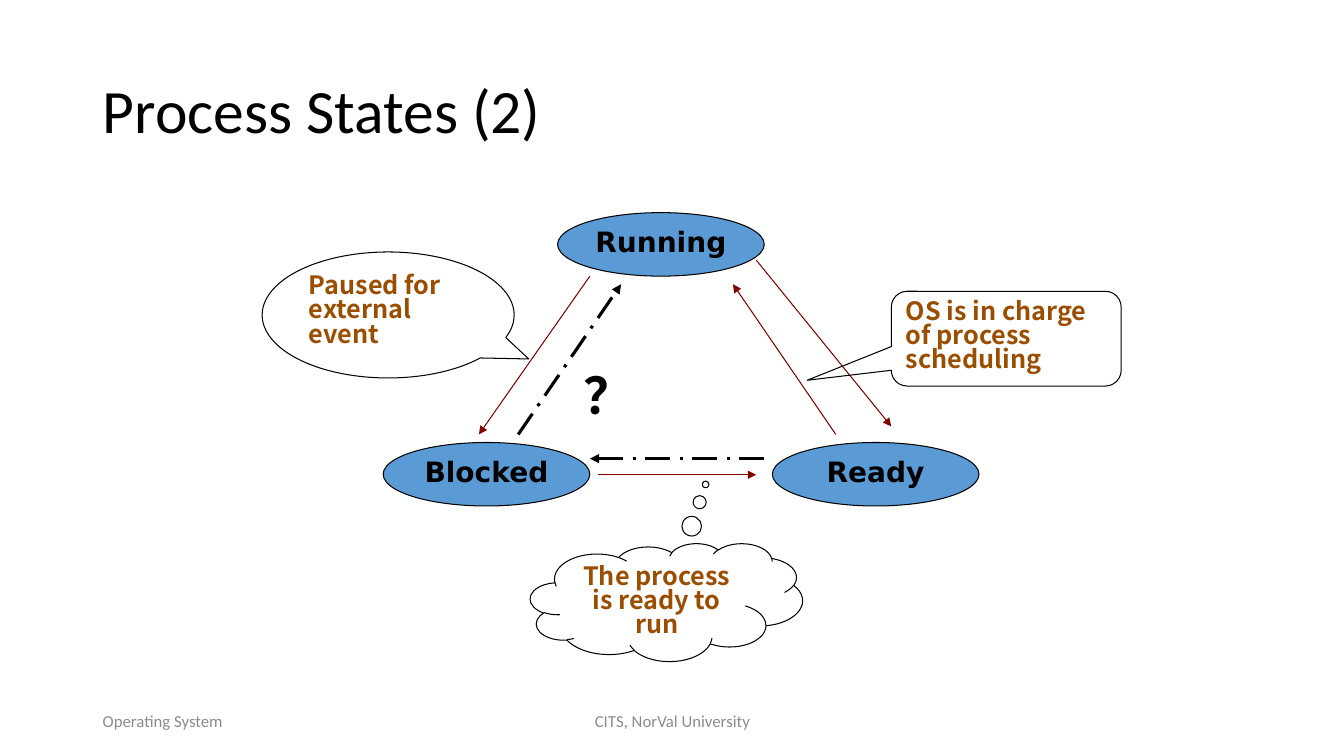
from dataclasses import dataclass

from lxml.etree import SubElement
from pptx import Presentation
from pptx.dml.color import RGBColor
from pptx.enum.dml import MSO_LINE_DASH_STYLE as Dash
from pptx.enum.shapes import MSO_CONNECTOR_TYPE as Link, MSO_SHAPE as Preset
from pptx.enum.text import MSO_ANCHOR as Anchor, MSO_AUTO_SIZE as Fit, PP_ALIGN as Align
from pptx.oxml.ns import qn
from pptx.util import Emu, Pt

PX = 9144  # EMU per px, 100 px to the inch

COLORS = {
    "black": "000000",
    "state": "5B9BD5",
    "arrow": "800000",
    "note": "9C4E00",
    "footer": "8C8C8C",
}


@dataclass(frozen=True)
class Style:
    font: str
    size: int
    color: str = "black"
    bold: bool = False
    tight: bool = False  # 80% lines with a fifth of the size before


@dataclass(frozen=True)
class State:
    name: str
    left: int
    top: int


@dataclass(frozen=True)
class Callout:
    preset: Preset
    box: tuple[int, int, int, int]
    adjustments: tuple[float, ...]
    text: str
    align: Align = Align.LEFT


@dataclass(frozen=True)
class Arrow:
    start: tuple[int, int]
    end: tuple[int, int]
    possible: bool = True


@dataclass(frozen=True)
class Label:
    box: tuple[int, int, int, int]
    text: str
    style: Style
    align: Align = Align.LEFT
    anchor: Anchor = Anchor.MIDDLE
    fit: Fit = Fit.NONE


TITLE = Style("Calibri", 44)
FOOTER = Style("Calibri", 12, "footer")
STATE = Style("DejaVu Sans", 20, bold=True, tight=True)
NOTE = Style("Noto Sans CJK SC", 18, "note", bold=True, tight=True)
QUESTION = Style("DejaVu Sans", 36, bold=True, tight=True)

STATE_WIDTH, STATE_HEIGHT = 205, 63
STATES = [
    State("Running", 553, 211),
    State("Blocked", 380, 439),
    State("Ready", 766, 439),
]
TRANSITIONS = [
    Arrow((585, 274), (475, 431)),
    Arrow((750, 258), (884, 423)),
    Arrow((593, 471), (750, 471)),
    Arrow((829, 431), (727, 282)),
    Arrow((514, 431), (616, 282), possible=False),
    Arrow((758, 455), (585, 455), possible=False),
]
CALLOUTS = [
    Callout(Preset.CLOUD_CALLOUT, (526, 539, 270, 117), (0.144, -0.999),
            "The process is ready to run", Align.CENTER),
    Callout(Preset.OVAL_CALLOUT, (260, 250, 250, 125), (0.558, 0.349),
            "Paused for external event"),
    Callout(Preset.ROUNDED_RECTANGULAR_CALLOUT, (884, 289, 228, 94),
            (-0.866, 0.439, 0.167), "OS is in charge of process scheduling"),
]
LABELS = [
    Label((92, 695, 300, 40), "Operating System", FOOTER),
    Label((442, 695, 450, 40), "CITS, NorVal University", FOOTER, Align.CENTER),
    Label((569, 368, 55, 59), "？", QUESTION, anchor=Anchor.TOP,
          fit=Fit.SHAPE_TO_FIT_TEXT),
]


def px(*lengths: int) -> list[Emu]:
    return [Emu(length * PX) for length in lengths]


def rgb(name: str) -> RGBColor:
    return RGBColor.from_string(COLORS[name])


def write(shape, text: str, style: Style, align: Align = Align.LEFT,
          anchor: Anchor = Anchor.TOP, wrap: bool = True) -> None:
    frame = shape.text_frame
    frame.word_wrap = wrap
    frame.vertical_anchor = anchor
    para = frame.paragraphs[0]
    para.alignment = align
    if style.tight:
        para.line_spacing = 0.8
        para.space_before = Pt(style.size * 0.2)
    span = para.add_run()
    span.text = text
    span.font.name = style.font
    span.font.size = Pt(style.size)
    span.font.bold = style.bold
    span.font.color.rgb = rgb(style.color)
    # East Asian glyphs take the same font
    SubElement(span.font._element, qn("a:ea"), typeface=style.font)


def outline(shape) -> None:
    shape.shadow.inherit = False
    shape.line.color.rgb = rgb("black")
    shape.line.width = Pt(0.75)


def add_state(page, state: State) -> None:
    oval = page.shapes.add_shape(
        Preset.OVAL, *px(state.left, state.top, STATE_WIDTH, STATE_HEIGHT))
    outline(oval)
    oval.fill.solid()
    oval.fill.fore_color.rgb = rgb("state")
    write(oval, state.name, STATE, Align.CENTER, Anchor.MIDDLE, wrap=False)


def add_arrow(page, arrow: Arrow) -> None:
    link = page.shapes.add_connector(Link.STRAIGHT, *px(*arrow.start, *arrow.end))
    link.line.color.rgb = rgb("arrow" if arrow.possible else "black")
    link.line.width = Pt(0.75 if arrow.possible else 2.25)
    if not arrow.possible:
        link.line.dash_style = Dash.LONG_DASH_DOT
    properties = link._element.spPr
    SubElement(properties.find(qn("a:ln")), qn("a:tailEnd"), type="triangle")
    SubElement(properties, qn("a:effectLst"))


def add_callout(page, callout: Callout) -> None:
    bubble = page.shapes.add_shape(callout.preset, *px(*callout.box))
    outline(bubble)
    bubble.fill.background()
    for index, value in enumerate(callout.adjustments):
        bubble.adjustments[index] = value
    write(bubble, callout.text, NOTE, callout.align)


def add_label(page, label: Label) -> None:
    box = page.shapes.add_textbox(*px(*label.box))
    write(box, label.text, label.style, label.align, label.anchor)
    box.text_frame.auto_size = label.fit


def main() -> None:
    deck = Presentation()
    deck.slide_width, deck.slide_height = px(1333, 750)
    page = deck.slides.add_slide(deck.slide_layouts.get_by_name("Title Only"))

    # Title
    title = page.shapes.title
    title.left, title.top, title.width, title.height = px(92, 40, 1150, 145)
    write(title, "Process States (2)", TITLE, anchor=Anchor.MIDDLE)
    title.text_frame.paragraphs[0].line_spacing = 0.9

    # State diagram
    for state in STATES:
        add_state(page, state)
    for arrow in TRANSITIONS:
        add_arrow(page, arrow)

    # Explanations, question mark and footers
    for callout in CALLOUTS:
        add_callout(page, callout)
    for label in LABELS:
        add_label(page, label)

    deck.save("out.pptx")


if __name__ == "__main__":
    main()
